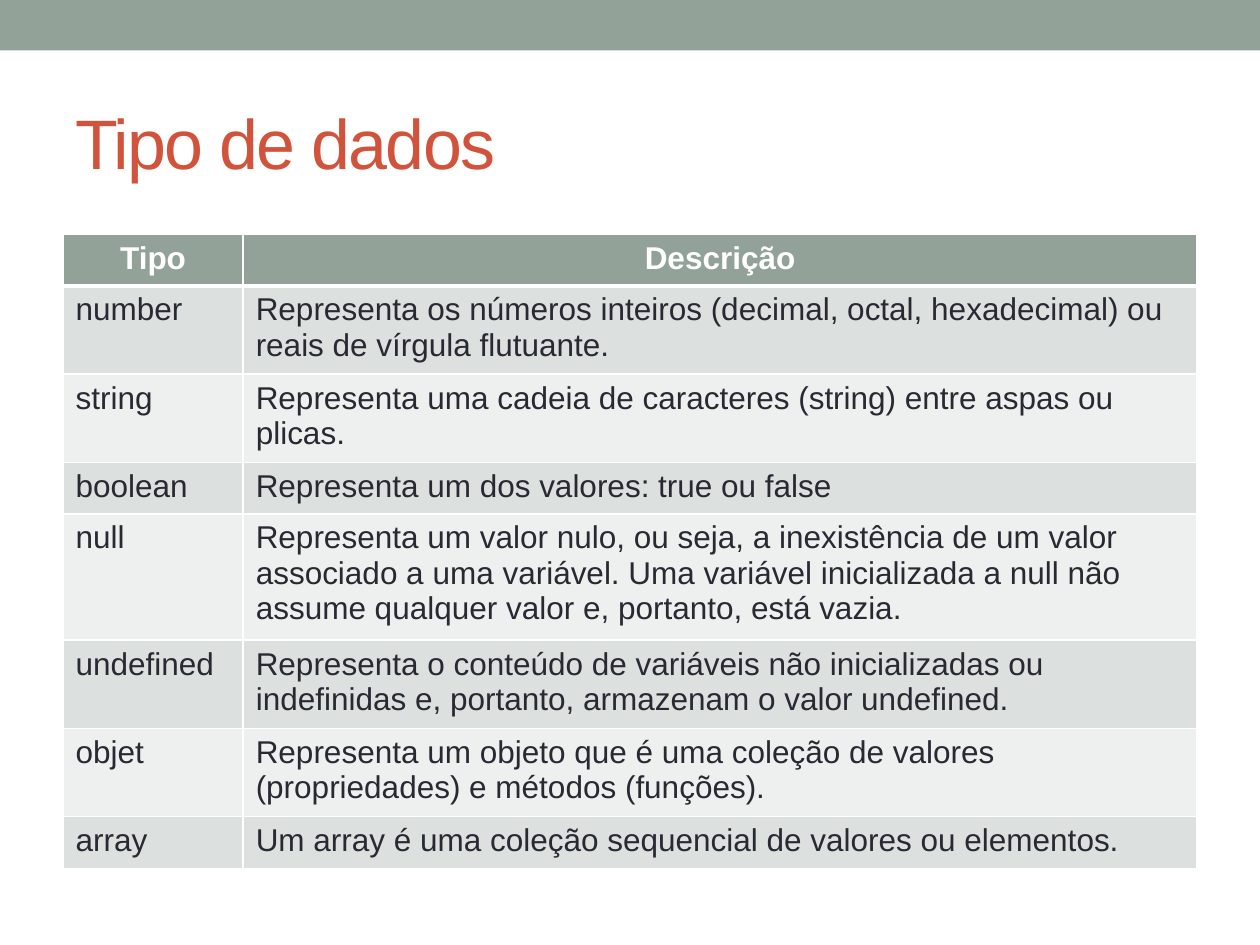
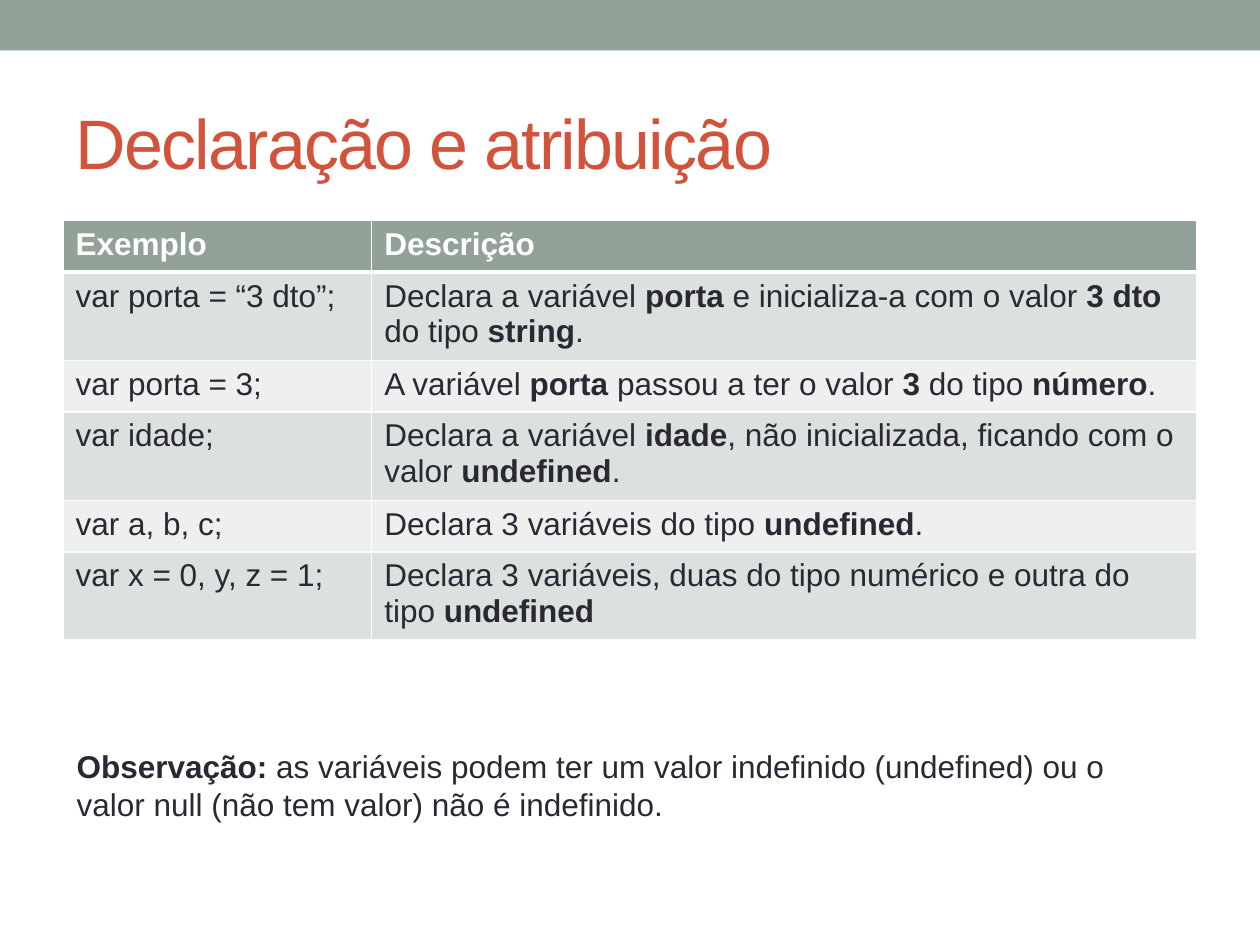
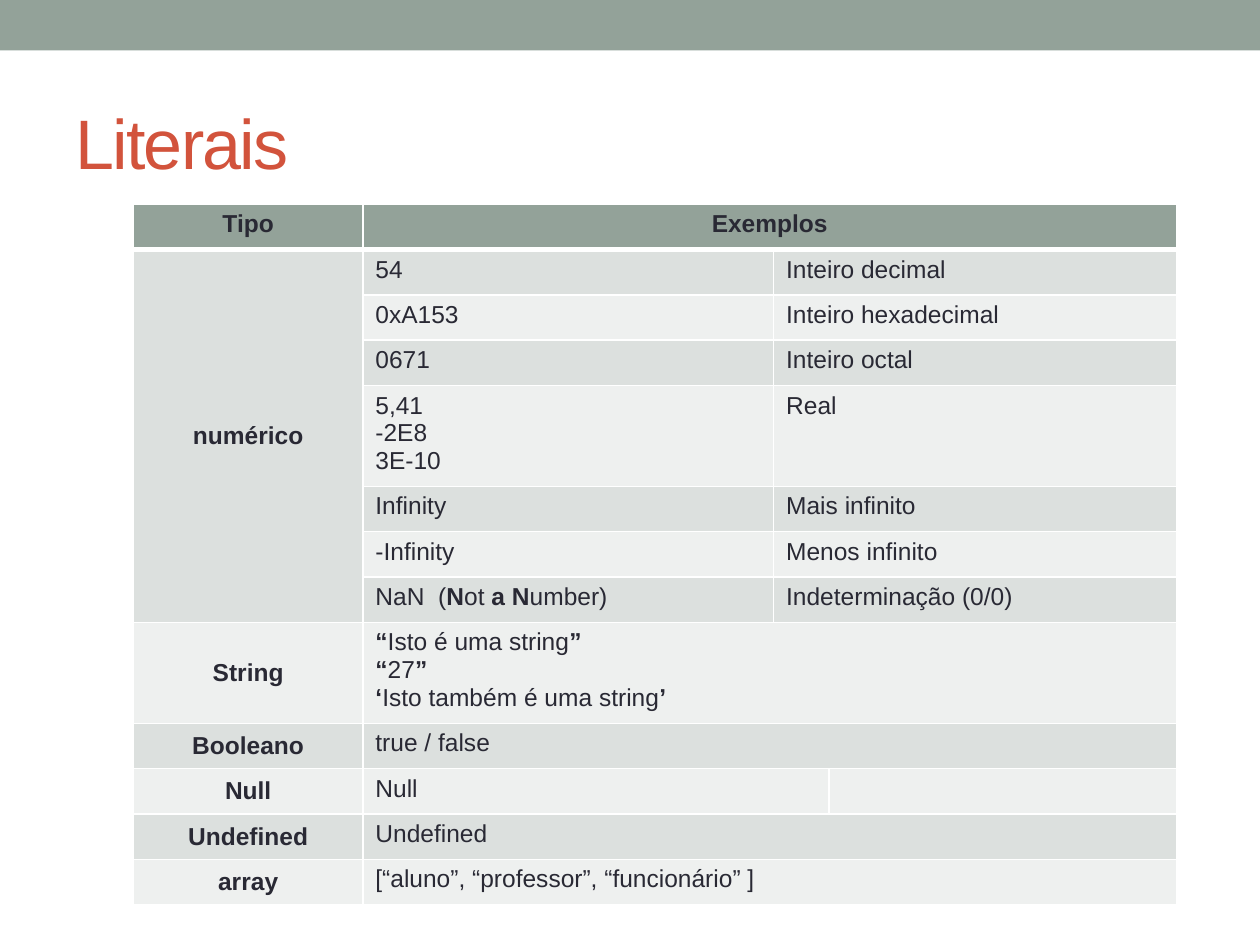
"""Three slides on data types, declarations and literals, each with a table."""
from dataclasses import dataclass

import lxml.etree
import pptx
import pptx.dml.color
import pptx.enum.shapes
import pptx.enum.text
import pptx.oxml.ns
import pptx.util

Inches, Pt = pptx.util.Inches, pptx.util.Pt
qn = pptx.oxml.ns.qn
PP_ALIGN = pptx.enum.text.PP_ALIGN
ANCHOR = pptx.enum.text.MSO_ANCHOR


@dataclass(frozen=True)
class Theme:
    """Colours, font and type sizes shared by the slides."""
    font: str = "Arial"
    band: str = "93A299"
    title: str = "D2533C"
    ink: str = "292934"
    white: str = "FFFFFF"
    stripes: tuple = ("EEF0EF", "DCE0DE")
    title_size: int = 40
    body_size: int = 18
    small_size: int = 14


T = Theme()

# Text between ** marks is bold. LEFT and UP join a cell to its neighbour.
LEFT, UP = "<", "^"

TYPES = dict(
    title="Tipo de dados", left=0.5, top=1.86, cols=[1.43, 7.57], row=0.41,
    size=T.body_size, head_color=T.white, center_head=True,
    rows=[
        ("**Tipo**", "**Descrição**"),
        ("number", "Representa os números inteiros (decimal, octal, hexadecimal) "
                   "ou reais de vírgula flutuante."),
        ("string", "Representa uma cadeia de caracteres (string) entre aspas ou plicas."),
        ("boolean", "Representa um dos valores: true ou false"),
        ("null", "Representa um valor nulo, ou seja, a inexistência de um valor "
                 "associado a uma variável. Uma variável inicializada a null não "
                 "assume qualquer valor e, portanto, está vazia."),
        ("undefined", "Representa o conteúdo de variáveis não inicializadas ou "
                      "indefinidas e, portanto, armazenam o valor undefined."),
        ("objet", "Representa um objeto que é uma coleção de valores "
                  "(propriedades) e métodos (funções)."),
        ("array", "Um array é uma coleção sequencial de valores ou elementos."),
    ])

DECLARATIONS = dict(
    title="Declaração e atribuição", left=0.5, top=1.75, cols=[2.45, 6.55], row=0.41,
    size=T.body_size, head_color=T.white,
    rows=[
        ("**Exemplo**", "**Descrição**"),
        ("var porta = “3 dto”;", "Declara a variável **porta** e inicializa-a com o "
                                 "valor **3 dto** do tipo **string**."),
        ("var porta = 3;", "A variável **porta** passou a ter o valor **3** do tipo **número**."),
        ("var idade;", "Declara a variável **idade**, não inicializada, ficando com o "
                       "valor **undefined**."),
        ("var a, b, c;", "Declara 3 variáveis do tipo **undefined**."),
        ("var x = 0, y, z = 1;", "Declara 3 variáveis, duas do tipo numérico e outra do "
                                 "tipo **undefined**"),
    ])

NOTE = ["**Observação: **as variáveis podem ter um valor indefinido (undefined) ou o",
        "valor null (não tem valor) não é indefinido."]

LITERALS = dict(
    title="Literais", left=1.06, top=1.62, cols=[1.82, 3.26, 0.44, 2.76], row=0.36,
    tall_rows={4: 0.7, 8: 0.7}, size=T.small_size, head_color=T.ink,
    center_head=True, center_first=True,
    rows=[
        ("**Tipo**", "**Exemplos**", LEFT, LEFT),
        ("**numérico**", "54", "Inteiro decimal", LEFT),
        (UP, "0xA153", "Inteiro hexadecimal", LEFT),
        (UP, "0671", "Inteiro octal", LEFT),
        (UP, "5,41\n-2E8\n3E-10", "Real", LEFT),
        (UP, "Infinity", "Mais infinito", LEFT),
        (UP, "-Infinity", "Menos infinito", LEFT),
        (UP, "NaN  (**N**ot **a N**umber)", "Indeterminação (0/0)", LEFT),
        ("**String**", "**“**Isto é uma string**”\n“**27**”\n‘**Isto também é uma string**’**",
         LEFT, LEFT),
        ("**Booleano**", "true / false", LEFT, LEFT),
        ("**Null**", "Null", LEFT, ""),
        ("**Undefined**", "Undefined", LEFT, LEFT),
        ("**array**", "[“aluno”, “professor”, “funcionário” ]", LEFT, LEFT),
    ])


def rgb(color):
    """Turn a hex string into an RGB colour."""
    return pptx.dml.color.RGBColor.from_string(color)


def write(p, text, size, color):
    """Write marked-up text into a paragraph, with bold parts and line breaks."""
    for i, part in enumerate(text.split("**")):
        for j, line in enumerate(part.split("\n")):
            if j:
                p.add_line_break()
            if line:
                r = p.add_run()
                r.text = line
                r.font.name, r.font.size = T.font, Pt(size)
                r.font.bold = i % 2 == 1
                r.font.color.rgb = rgb(color)
    # Breaks and empty cells need the size too, or they grow their row.
    for br in p._p.findall(qn("a:br")):
        lxml.etree.SubElement(br, qn("a:rPr"), sz=str(size * 100))
    lxml.etree.SubElement(p._p, qn("a:endParaRPr"), sz=str(size * 100))


def set_borders(cell, top, bottom):
    """Give a cell white borders; top and bottom widths are in points."""
    tcPr = cell._tc.get_or_add_tcPr()
    for side, width in (("L", 1), ("R", 1), ("T", top), ("B", bottom)):
        ln = lxml.etree.SubElement(tcPr, qn("a:ln" + side), w=str(Pt(width)))
        fill = lxml.etree.SubElement(ln, qn("a:solidFill"))
        lxml.etree.SubElement(fill, qn("a:srgbClr"), val=T.white)


def merge_cells(table, rows):
    """Merge each cell with the LEFT and UP marks that follow it."""
    for i, row in enumerate(rows):
        for j, text in enumerate(row):
            if text in (LEFT, UP):
                continue
            right, last = j, i
            while right + 1 < len(row) and row[right + 1] == LEFT:
                right += 1
            while last + 1 < len(rows) and rows[last + 1][j] == UP:
                last += 1
            if (last, right) != (i, j):
                table.cell(i, j).merge(table.cell(last, right))


def add_grid(s, data):
    """Add the striped table of a slide."""
    rows, cols, size = data["rows"], data["cols"], data["size"]
    heights = [data.get("tall_rows", {}).get(i, data["row"]) for i in range(len(rows))]
    table = s.shapes.add_table(
        len(rows), len(cols), Inches(data["left"]), Inches(data["top"]),
        Inches(sum(cols)), Inches(sum(heights))).table
    for column, width in zip(table.columns, cols):
        column.width = Inches(width)
    for row, height in zip(table.rows, heights):
        row.height = Inches(height)
    for i, row in enumerate(rows):
        head = i == 0
        for j, text in enumerate(row):
            cell = table.cell(i, j)
            set_borders(cell, 3 if i == 1 else 1, 3 if head else 1)
            cell.fill.solid()
            cell.fill.fore_color.rgb = rgb(T.band if head else T.stripes[i % 2])
            p = cell.text_frame.paragraphs[0]
            first = j == 0 and data.get("center_first")
            if first or head and data.get("center_head"):
                p.alignment = PP_ALIGN.CENTER
            if first and not head:
                cell.vertical_anchor = ANCHOR.MIDDLE
            write(p, "" if text in (LEFT, UP) else text, size,
                  data["head_color"] if head else T.ink)
    merge_cells(table, rows)


def add_slide(prs, data):
    """Add a slide with the top band, its title and its table."""
    s = prs.slides.add_slide(prs.slide_layouts[6])
    band = s.shapes.add_shape(pptx.enum.shapes.MSO_SHAPE.RECTANGLE,
                              0, 0, prs.slide_width, Inches(0.4))
    band.shadow.inherit = False
    band.fill.solid()
    band.fill.fore_color.rgb = rgb(T.band)
    band.line.fill.background()
    tf = s.shapes.add_textbox(Inches(0.5), Inches(0.58), Inches(9), Inches(1.08)).text_frame
    tf.word_wrap = True
    tf.vertical_anchor = ANCHOR.MIDDLE
    p = tf.paragraphs[0]
    write(p, data["title"], T.title_size, T.title)
    p.runs[0]._r.get_or_add_rPr().set("spc", "-100")
    add_grid(s, data)
    return s


def add_note(s, lines):
    """Add the remark below the table, one paragraph a line."""
    tf = s.shapes.add_textbox(Inches(0.51), Inches(5.88), Inches(8.43), Inches(0.71)).text_frame
    tf.word_wrap = False
    tf.auto_size = pptx.enum.text.MSO_AUTO_SIZE.SHAPE_TO_FIT_TEXT
    for i, line in enumerate(lines):
        p = tf.add_paragraph() if i else tf.paragraphs[0]
        write(p, line, T.body_size, T.ink)


def main():
    """Build and save the presentation."""
    prs = pptx.Presentation()
    prs.slide_width, prs.slide_height = Inches(10), Inches(7.5)
    add_slide(prs, TYPES)
    add_note(add_slide(prs, DECLARATIONS), NOTE)
    add_slide(prs, LITERALS)
    prs.save("out.pptx")


main()
